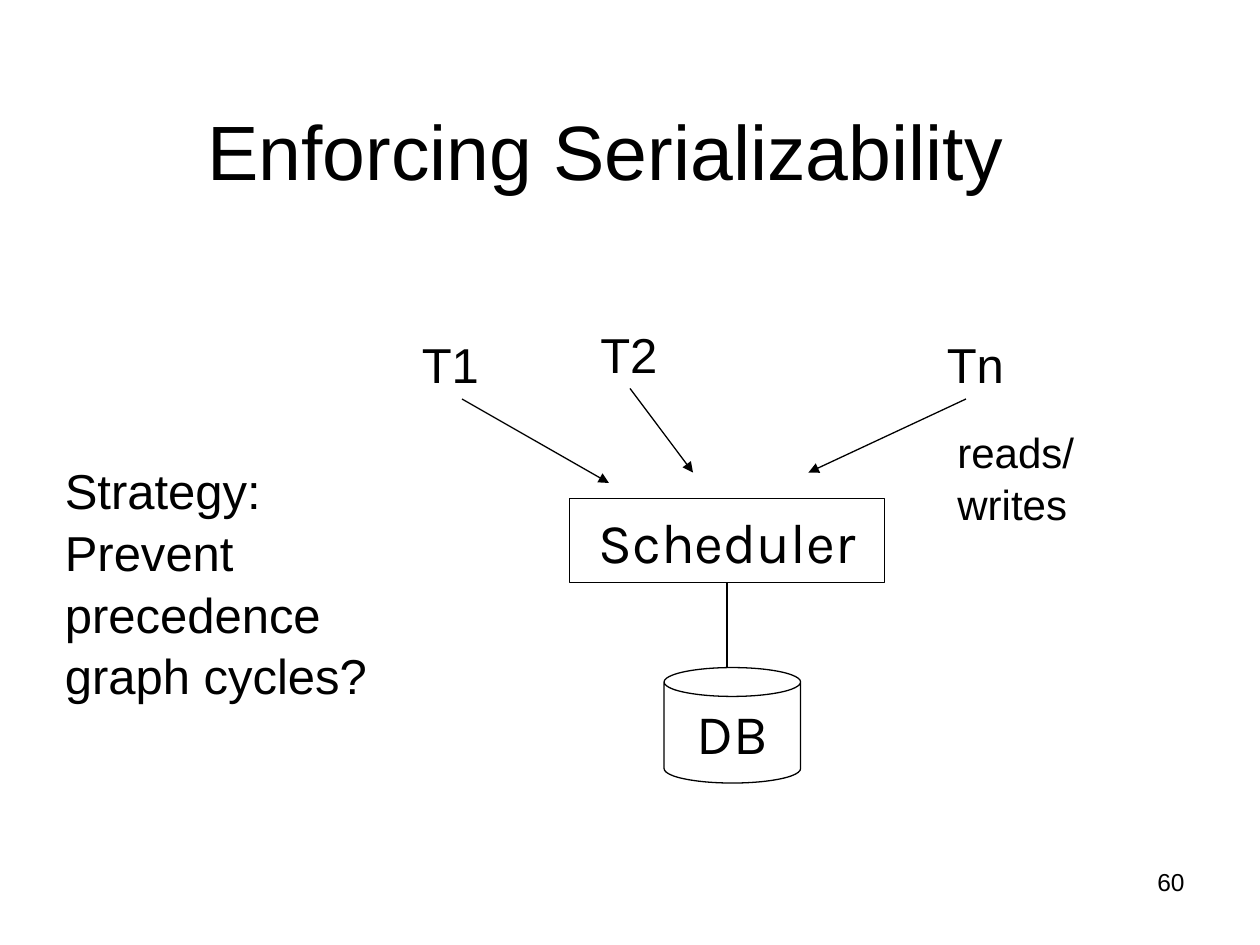
from lxml import etree
from pptx import Presentation
from pptx.dml.color import RGBColor
from pptx.enum import shapes, text
from pptx.oxml import ns
from pptx.util import Pt

BLACK, WHITE = "000000", "FFFFFF"
LEFT, CENTER, RIGHT = text.PP_ALIGN.LEFT, text.PP_ALIGN.CENTER, text.PP_ALIGN.RIGHT
TOP, MIDDLE = text.MSO_ANCHOR.TOP, text.MSO_ANCHOR.MIDDLE

NODES = [
    ("Scheduler", shapes.MSO_SHAPE.RECTANGLE, (325.5, 285, 180, 48)),
    ("DB", shapes.MSO_SHAPE.CAN, (379.5, 381.5, 78, 66)),
]
LABELS = [
    ("Enforcing Serializability", (31, 39, 630, 90),
     dict(size=44, align=CENTER, anchor=MIDDLE, wrap=True)),
    ("T1", (234, 186, 47, 41), dict(size=28)),
    ("T2", (336, 180, 47, 41), dict(size=28)),
    ("Tn", (534, 186, 47, 41), dict(size=28)),
    ("reads/writes", (540, 238.5, 143, 36), dict(size=24)),
    ("Strategy:\vPrevent precedence\vgraph cycles?", (30, 258, 264, 108), dict(size=28)),
    ("60", (516, 492, 168, 37.5), dict(size=14, align=RIGHT, wrap=True, spacing=1)),
]
LINES = [
    ((415.5, 333), (415.5, 381.5), False),
    ((264, 228), (348, 276), True),
    ((360, 222), (396, 270), True),
    ((552, 228), (462, 270), True),
]


def color(value):
    return RGBColor.from_string(value)


def write(shape, content, size=32, font="Arial", align=LEFT, anchor=TOP,
          wrap=False, spacing=1.05):
    frame = shape.text_frame
    frame.word_wrap = wrap
    frame.vertical_anchor = anchor
    frame.text = content
    paragraph = frame.paragraphs[0]
    paragraph.alignment = align
    paragraph.line_spacing = spacing
    for run in paragraph.runs:
        run.font.name = font
        run.font.size = Pt(size)
        run.font.color.rgb = color(BLACK)


def outline(shape):
    shape.line.color.rgb = color(BLACK)
    shape.line.width = Pt(0.75)


def add_line(slide, start, end, arrow):
    connector = slide.shapes.add_connector(
        shapes.MSO_CONNECTOR.STRAIGHT, *map(Pt, start + end))
    outline(connector)
    if arrow:
        etree.SubElement(connector.line._get_or_add_ln(), ns.qn("a:tailEnd"), type="triangle")
    etree.SubElement(connector._element.spPr, ns.qn("a:effectLst"))


def main():
    presentation = Presentation()
    presentation.slide_width, presentation.slide_height = Pt(720), Pt(540)
    slide = presentation.slides.add_slide(presentation.slide_layouts[6])
    for content, kind, box in NODES:
        shape = slide.shapes.add_shape(kind, *map(Pt, box))
        shape.shadow.inherit = False
        shape.fill.solid()
        shape.fill.fore_color.rgb = color(WHITE)
        outline(shape)
        write(shape, content, font="Karla", align=CENTER, anchor=MIDDLE, spacing=1)
    for content, box, style in LABELS:
        write(slide.shapes.add_textbox(*map(Pt, box)), content, **style)
    for start, end, arrow in LINES:
        add_line(slide, start, end, arrow)
    presentation.save("out.pptx")


if __name__ == "__main__":
    main()
